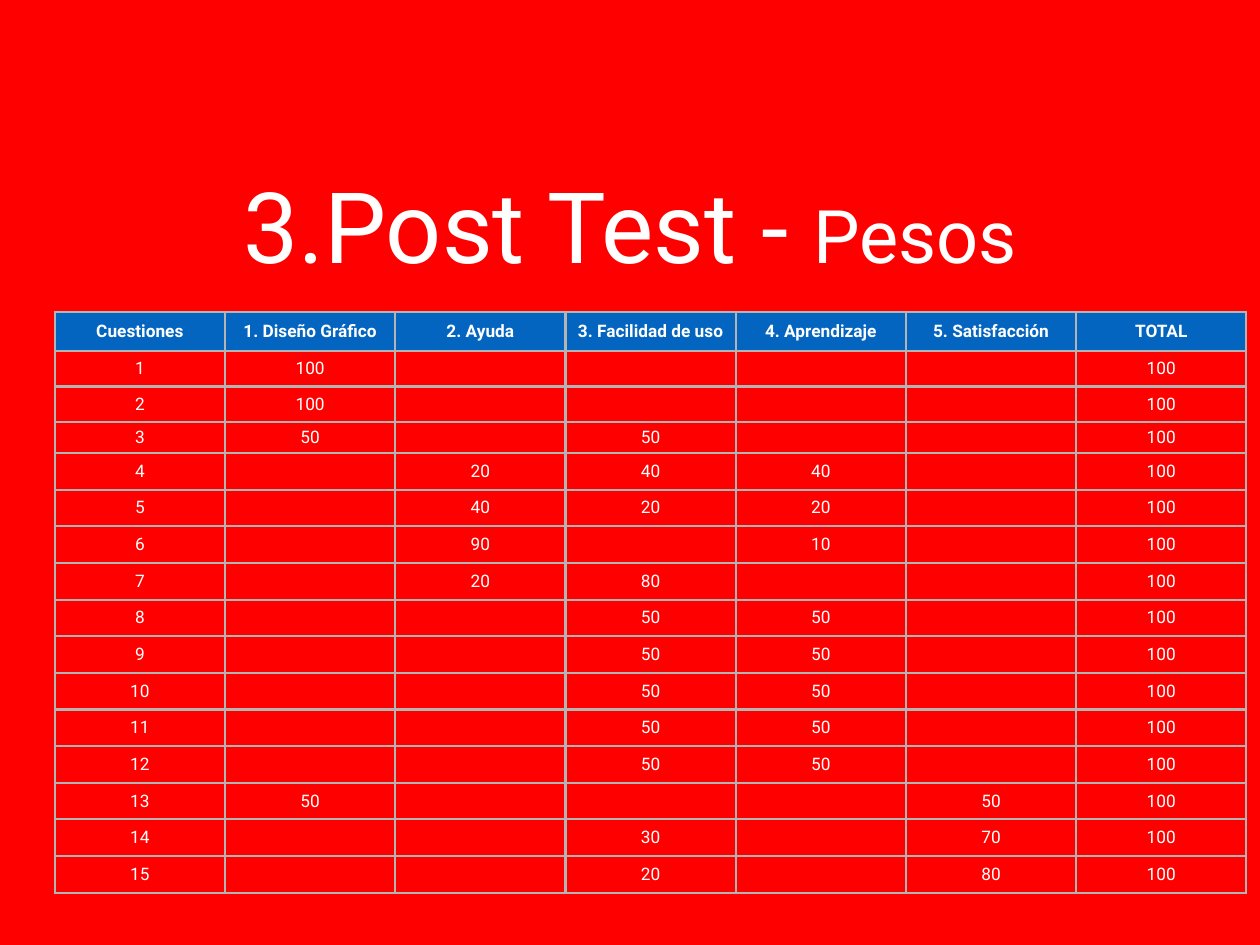
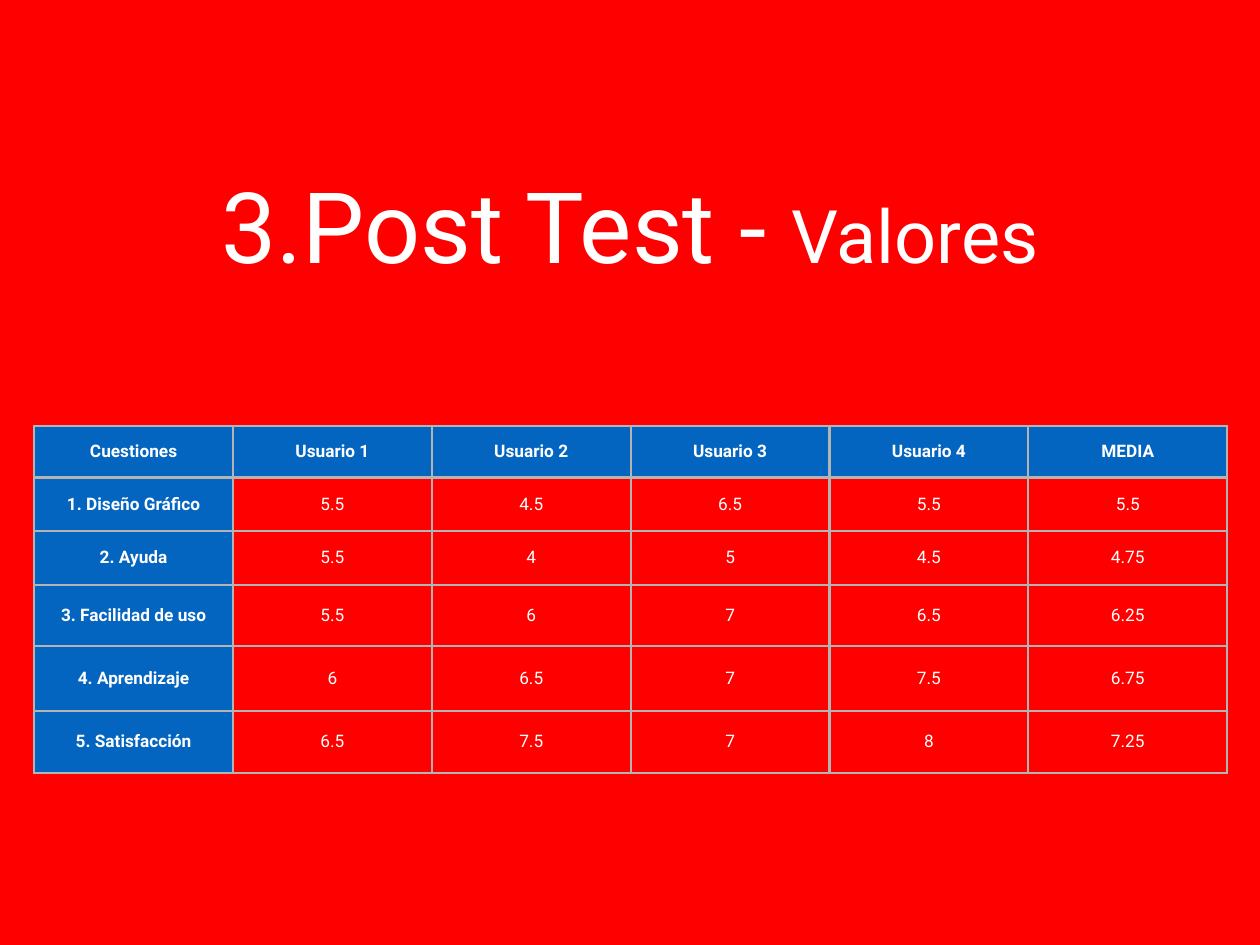
import dataclasses

import lxml.etree
import pptx
import pptx.dml.color
import pptx.enum.text
import pptx.oxml.ns
import pptx.presentation
import pptx.table
import pptx.util

Cm = pptx.util.Cm
Pt = pptx.util.Pt
qn = pptx.oxml.ns.qn

RED = pptx.dml.color.RGBColor(0xFF, 0x00, 0x00)
BLUE = pptx.dml.color.RGBColor(0x03, 0x65, 0xC0)
GREY = pptx.dml.color.RGBColor(0xB4, 0xB4, 0xB4)
WHITE = pptx.dml.color.RGBColor(0xFF, 0xFF, 0xFF)
FONT = "Roboto"
INSET = Cm(0.14)
BODY = Pt(14)
RULE = Pt(2)
CENTER = pptx.enum.text.PP_ALIGN.CENTER

TOPICS = ["1. Diseño Gráfico", "2. Ayuda", "3. Facilidad de uso",
          "4. Aprendizaje", "5. Satisfacción"]
WEIGHTS = [
    {1: 100}, {1: 100}, {1: 50, 3: 50},
    {2: 20, 3: 40, 4: 40}, {2: 40, 3: 20, 4: 20},
    {2: 90, 4: 10}, {2: 20, 3: 80},
    *[{3: 50, 4: 50}] * 5,
    {1: 50, 5: 50}, {3: 30, 5: 70}, {3: 20, 5: 80},
]
SCORES = [
    (5.5, 4.5, 6.5, 5.5),
    (5.5, 4, 5, 4.5),
    (5.5, 6, 7, 6.5),
    (6, 6.5, 7, 7.5),
    (6.5, 7.5, 7, 8),
]


@dataclasses.dataclass
class Page:
    topic: str
    left: float
    top: float
    width: float
    heights: list[float]
    rows: list[list[str]]
    side: bool


def weigh() -> list[list[str]]:
    rows = [["Cuestiones", *TOPICS, "TOTAL"]]
    for num, parts in enumerate(WEIGHTS, 1):
        cells = [str(parts.get(col, "")) for col in range(1, len(TOPICS) + 1)]
        rows.append([str(num), *cells, "100"])
    return rows


def score() -> list[list[str]]:
    users = [f"Usuario {num}" for num in range(1, 5)]
    rows = [["Cuestiones", *users, "MEDIA"]]
    for topic, marks in zip(TOPICS, SCORES):
        mean = sum(marks) / len(marks)
        rows.append([topic, *(f"{mark:g}" for mark in (*marks, mean))])
    return rows


def style(font: pptx.text.text.Font, size: int, bold: bool = False) -> None:
    font.name = FONT
    font.size = size
    font.bold = bold
    font.color.rgb = WHITE


def inset(item: pptx.table._Cell | pptx.text.text.TextFrame) -> None:
    item.margin_left = item.margin_right = INSET
    item.margin_top = item.margin_bottom = INSET


def border(cell: pptx.table._Cell) -> None:
    props = cell._tc.get_or_add_tcPr()
    for side in ("lnL", "lnR", "lnT", "lnB"):
        line = lxml.etree.SubElement(props, qn(f"a:{side}"), w=str(int(RULE)))
        fill = lxml.etree.SubElement(line, qn("a:solidFill"))
        lxml.etree.SubElement(fill, qn("a:srgbClr"), val=str(GREY))


def fill_cell(cell: pptx.table._Cell, text: str, head: bool) -> None:
    inset(cell)
    cell.vertical_anchor = pptx.enum.text.MSO_ANCHOR.MIDDLE
    border(cell)
    if head:
        cell.fill.solid()
        cell.fill.fore_color.rgb = BLUE
    else:
        cell.fill.background()
    para = cell.text_frame.paragraphs[0]
    para.alignment = CENTER
    if text:
        para.text = text
        style(para.runs[0].font, BODY, head)
    else:
        size = str(int(BODY.pt * 100))
        lxml.etree.SubElement(para._p, qn("a:endParaRPr"), sz=size)


def add_title(slide: pptx.slide.Slide, topic: str) -> None:
    title = slide.shapes.title
    title.left, title.top = Cm(3.53), Cm(4.55)
    title.width, title.height = Cm(29.06), Cm(3.7)
    frame = title.text_frame
    frame.word_wrap = True
    frame.auto_size = pptx.enum.text.MSO_AUTO_SIZE.NONE
    frame.vertical_anchor = pptx.enum.text.MSO_ANCHOR.BOTTOM
    inset(frame)
    para = frame.paragraphs[0]
    para.alignment = CENTER
    for text, size in (("3.Post Test - ", 80), (topic, 60)):
        run = para.add_run()
        run.text = text
        style(run.font, Pt(size))


def add_grid(slide: pptx.slide.Slide, page: Page) -> None:
    count = len(page.rows[0])
    grid = slide.shapes.add_table(
        len(page.rows), count, Cm(page.left), Cm(page.top),
        Cm(page.width * count), Cm(sum(page.heights))).table
    grid.first_row = grid.horz_banding = False
    for col in grid.columns:
        col.width = Cm(page.width)
    for row, height in zip(grid.rows, page.heights):
        row.height = Cm(height)
    for top, texts in enumerate(page.rows):
        for left, text in enumerate(texts):
            head = top == 0 or (page.side and left == 0)
            fill_cell(grid.cell(top, left), text, head)


def add_page(deck: pptx.presentation.Presentation, page: Page) -> None:
    slide = deck.slides.add_slide(deck.slide_layouts[5])
    add_title(slide, page.topic)
    add_grid(slide, page)


def main() -> None:
    deck = pptx.Presentation()
    deck.slide_width, deck.slide_height = Cm(36.12), Cm(27.09)
    back = deck.slide_master.background.fill
    back.solid()
    back.fore_color.rgb = RED
    pages = [
        Page("Pesos", 1.57, 8.94, 4.88,
             [1.12, 1.02, 1.02, 0.89] + [1.05] * 12, weigh(), False),
        Page("Valores", 0.98, 12.22, 5.7,
             [1.47, 1.53, 1.55, 1.76, 1.84, 1.8], score(), True),
    ]
    for page in pages:
        add_page(deck, page)
    deck.save("out.pptx")


if __name__ == "__main__":
    main()
